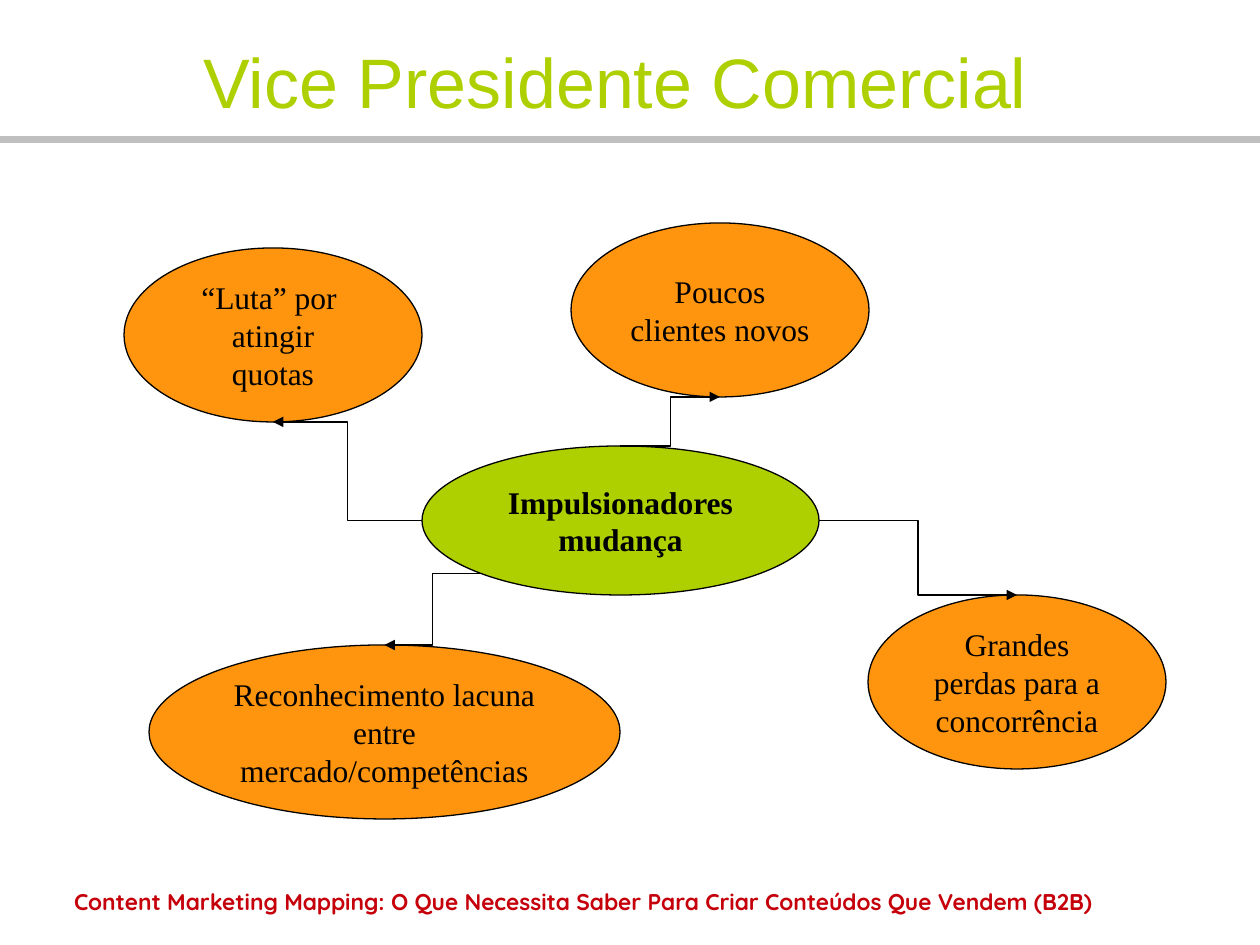
import math

import pptx
import pptx.dml.color
import pptx.enum.shapes
import pptx.enum.text
import pptx.oxml
import pptx.oxml.ns
import pptx.util

RGBColor = pptx.dml.color.RGBColor
SHAPES = pptx.enum.shapes.MSO_SHAPE
ALIGN = pptx.enum.text.PP_ALIGN
ANCHOR = pptx.enum.text.MSO_ANCHOR

GREEN = RGBColor(0xAE, 0xCF, 0x00)
ORANGE = RGBColor(0xFF, 0x95, 0x0E)
BLACK = RGBColor(0x00, 0x00, 0x00)
GREY = RGBColor(0xBF, 0xBF, 0xBF)
RED = RGBColor(0xC5, 0x00, 0x0B)

# Angles of connection points on an ellipse, clockwise from the right
RIGHT, BOTTOM, BOTTOM_LEFT, LEFT, TOP = 0, 90, 135, 180, 270


def px(length):
    return pptx.util.Inches(length / 126)


def edge_point(ellipse, degrees):
    angle = math.radians(degrees)
    x = ellipse.left + ellipse.width / 2 * (1 + math.cos(angle))
    y = ellipse.top + ellipse.height / 2 * (1 + math.sin(angle))
    return round(x), round(y)


class MapSlide:
    """A mind-map slide: heading, rule, ellipses, arrows and footer."""

    line_width = pptx.util.Pt(0.75)

    def __init__(self, deck):
        self.slide = deck.slides.add_slide(deck.slide_layouts[5])
        self.shapes = self.slide.shapes

    def style(self, paragraph, size, face, color, bold=False):
        font = paragraph.font
        font.size, font.name, font.bold = pptx.util.Pt(size), face, bold
        font.color.rgb = color

    def title(self, text, left, top, width, height):
        heading = self.shapes.title
        heading.left, heading.top = px(left), px(top)
        heading.width, heading.height = px(width), px(height)
        frame = heading.text_frame
        frame.text = text
        frame.vertical_anchor = ANCHOR.MIDDLE
        frame.margin_left = frame.margin_right = frame.margin_bottom = 0
        frame.margin_top = px(10)
        paragraph = frame.paragraphs[0]
        paragraph.alignment = ALIGN.CENTER
        self.style(paragraph, 40, "Arial", GREEN)

    def rule(self, left, top, width, height):
        bar = self.shapes.add_shape(
            SHAPES.RECTANGLE, px(left), px(top), px(width), px(height))
        bar.shadow.inherit = False
        bar.fill.solid()
        bar.fill.fore_color.rgb = GREY
        bar.line.fill.background()

    def footer(self, text, left, top, width, height):
        box = self.shapes.add_textbox(px(left), px(top), px(width), px(height))
        frame = box.text_frame
        frame.word_wrap = True
        frame.margin_left = px(42)
        frame.text = text
        self.style(frame.paragraphs[0], 13, "Quicksand", RED, bold=True)

    def ellipse(self, text, left, top, width, height, fill=ORANGE, bold=False):
        bubble = self.shapes.add_shape(
            SHAPES.OVAL, px(left), px(top), px(width), px(height))
        bubble.shadow.inherit = False
        bubble.fill.solid()
        bubble.fill.fore_color.rgb = fill
        bubble.line.color.rgb = BLACK
        bubble.line.width = self.line_width
        frame = bubble.text_frame
        frame.word_wrap = True
        frame.vertical_anchor = ANCHOR.MIDDLE
        frame.text = text
        for paragraph in frame.paragraphs:
            paragraph.alignment = ALIGN.CENTER
            self.style(paragraph, 18, "Times New Roman", BLACK, bold)
        return bubble

    def arrow(self, source, source_side, target, target_side):
        link = self.shapes.add_connector(
            pptx.enum.shapes.MSO_CONNECTOR.ELBOW,
            *edge_point(source, source_side), *edge_point(target, target_side))
        link.line.color.rgb = BLACK
        link.line.width = self.line_width
        namespace = pptx.oxml.ns.nsdecls("a")
        link.line._get_or_add_ln().append(
            pptx.oxml.parse_xml(f'<a:tailEnd {namespace} type="triangle"/>'))
        link._element.spPr.append(
            pptx.oxml.parse_xml(f"<a:effectLst {namespace}/>"))


def main():
    deck = pptx.Presentation()
    deck.slide_width, deck.slide_height = px(1260), px(945)
    page = MapSlide(deck)

    page.rule(0, 136, 1260, 7)
    page.footer("Content Marketing Mapping: O Que Necessita Saber "
                "Para Criar Conteúdos Que Vendem (B2B)", 32, 882, 1179, 63)
    page.title("Vice Presidente Comercial", 174, 25, 882, 101)

    drivers = page.ellipse("Impulsionadores\nmudança", 422, 446, 397, 149,
                           fill=GREEN, bold=True)
    quotas = page.ellipse("“Luta” por \natingir\nquotas", 124, 248, 298, 174)
    gap = page.ellipse("Reconhecimento lacuna entre mercado/competências",
                       149, 645, 471, 174)
    few_clients = page.ellipse("Poucos clientes novos", 571, 223, 298, 174)
    losses = page.ellipse("Grandes perdas para a concorrência",
                          868, 595, 298, 174)

    for side, effect, effect_side in [
        (LEFT, quotas, BOTTOM),
        (RIGHT, losses, TOP),
        (BOTTOM_LEFT, gap, TOP),
        (TOP, few_clients, BOTTOM),
    ]:
        page.arrow(drivers, side, effect, effect_side)

    deck.save("out.pptx")


if __name__ == "__main__":
    main()
